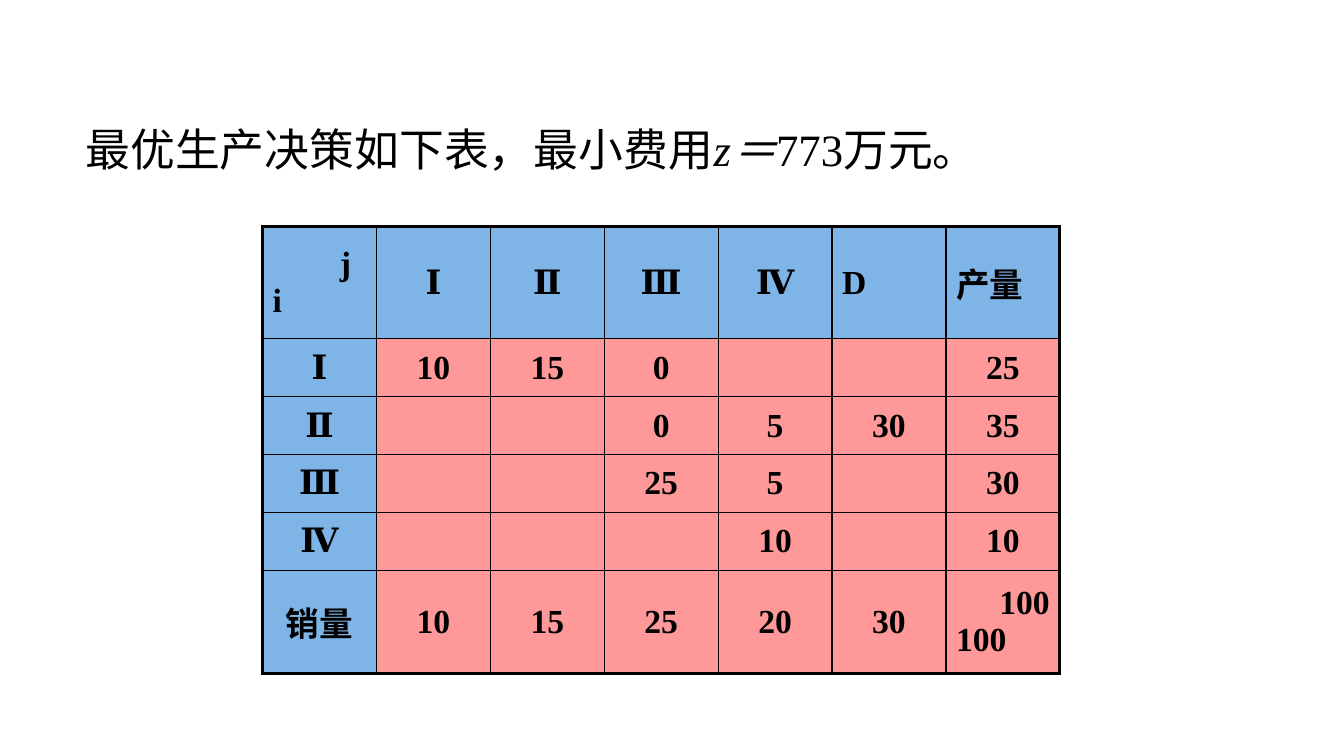
from dataclasses import dataclass

from lxml import etree
from pptx import Presentation
from pptx.dml.color import RGBColor
from pptx.enum.text import MSO_ANCHOR, MSO_AUTO_SIZE, PP_ALIGN
from pptx.oxml.ns import qn
from pptx.util import Inches, Pt

LEFT, CENTER, RIGHT = PP_ALIGN.LEFT, PP_ALIGN.CENTER, PP_ALIGN.RIGHT
MIDDLE = MSO_ANCHOR.MIDDLE
GROW = MSO_AUTO_SIZE.SHAPE_TO_FIT_TEXT
SLIDE_WIDTH, SLIDE_HEIGHT = Inches(13.33), Inches(7.5)


@dataclass(frozen=True)
class Theme:
    font: str = "Times New Roman"
    ink: str = "000000"
    header: str = "7EB4E6"
    body: str = "FF9999"
    statement_size: float = 32
    table_size: float = 24
    inner_line: float = 1
    outer_line: float = 2.25


THEME = Theme()

PLAN = [
    ["j\ni", "Ⅰ", "Ⅱ", "Ⅲ", "Ⅳ", "D", "产量"],
    ["Ⅰ", "10", "15", "0", "", "", "25"],
    ["Ⅱ", "", "", "0", "5", "30", "35"],
    ["Ⅲ", "", "", "25", "5", "", "30"],
    ["Ⅳ", "", "", "", "10", "", "10"],
    ["销量", "10", "15", "25", "20", "30", "100\n100"],
]
# Row heights as percentages of the slide height
ROW_SHARES = [14.8] + [7.67] * 4 + [13.6]
LAST_ROW, LAST_COLUMN = len(PLAN) - 1, len(PLAN[0]) - 1
# Cells that are not centred, with one alignment per paragraph
ALIGNMENTS = {
    (0, 0): [LEFT, LEFT],
    (0, LAST_COLUMN - 1): [LEFT],
    (0, LAST_COLUMN): [LEFT],
    (LAST_ROW, LAST_COLUMN): [RIGHT, LEFT],
}


def across(percent):
    return round(SLIDE_WIDTH * percent / 100)


def down(percent):
    return round(SLIDE_HEIGHT * percent / 100)


def add_run(paragraph, text, size, bold=False, italic=False):
    run = paragraph.add_run()
    run.text = text
    font = run.font
    font.name, font.size = THEME.font, Pt(size)
    font.bold, font.italic = bold, italic
    font.color.rgb = RGBColor.from_string(THEME.ink)


def add_statement(slide):
    statement = slide.shapes.add_textbox(across(5.63), down(14), across(68.42), down(9.47))
    frame = statement.text_frame
    frame.word_wrap = True
    frame.auto_size = GROW
    paragraph = frame.paragraphs[0]
    paragraph.line_spacing = 1.2
    for text, italic in [("最优生产决策如下表，最小费用", False), ("z＝", True), ("773万元。", False)]:
        add_run(paragraph, text, THEME.statement_size, italic=italic)


def set_borders(cell, row, column):
    """Draw the four cell edges, heavier where they bound the whole table."""
    edges = {
        "a:lnL": column == 0,
        "a:lnR": column == LAST_COLUMN,
        "a:lnT": row == 0,
        "a:lnB": row == LAST_ROW,
    }
    properties = cell._tc.get_or_add_tcPr()
    for position, (tag, is_outer) in enumerate(edges.items()):
        width = THEME.outer_line if is_outer else THEME.inner_line
        edge = etree.Element(qn(tag), w=str(Pt(width)))
        fill = etree.SubElement(edge, qn("a:solidFill"))
        etree.SubElement(fill, qn("a:srgbClr"), val=THEME.ink)
        properties.insert(position, edge)


def fill_cell(cell, text, row, column):
    is_header = row == 0 or column == 0
    cell.fill.solid()
    cell.fill.fore_color.rgb = RGBColor.from_string(THEME.header if is_header else THEME.body)
    cell.vertical_anchor = MIDDLE
    set_borders(cell, row, column)
    if not text:
        return
    alignments = ALIGNMENTS.get((row, column), [CENTER])
    for index, (line, alignment) in enumerate(zip(text.split("\n"), alignments)):
        frame = cell.text_frame
        paragraph = frame.add_paragraph() if index else frame.paragraphs[0]
        paragraph.alignment = alignment
        add_run(paragraph, line, THEME.table_size, bold=True)


def add_plan_table(slide):
    width = across(59.33)
    plan = slide.shapes.add_table(
        len(PLAN), len(PLAN[0]), across(19.54), down(30), width, down(sum(ROW_SHARES))
    ).table
    for column in plan.columns:
        column.width = width // len(PLAN[0])
    for row, share in zip(plan.rows, ROW_SHARES):
        row.height = down(share)
    for row, texts in enumerate(PLAN):
        for column, text in enumerate(texts):
            fill_cell(plan.cell(row, column), text, row, column)
    column_index = plan.cell(0, 0).text_frame.paragraphs[0]
    column_index._p.get_or_add_pPr().set("marL", str(across(5)))


def main():
    deck = Presentation()
    deck.slide_width, deck.slide_height = SLIDE_WIDTH, SLIDE_HEIGHT
    slide = deck.slides.add_slide(deck.slide_layouts[6])
    add_plan_table(slide)
    add_statement(slide)
    deck.save("out.pptx")


if __name__ == "__main__":
    main()
